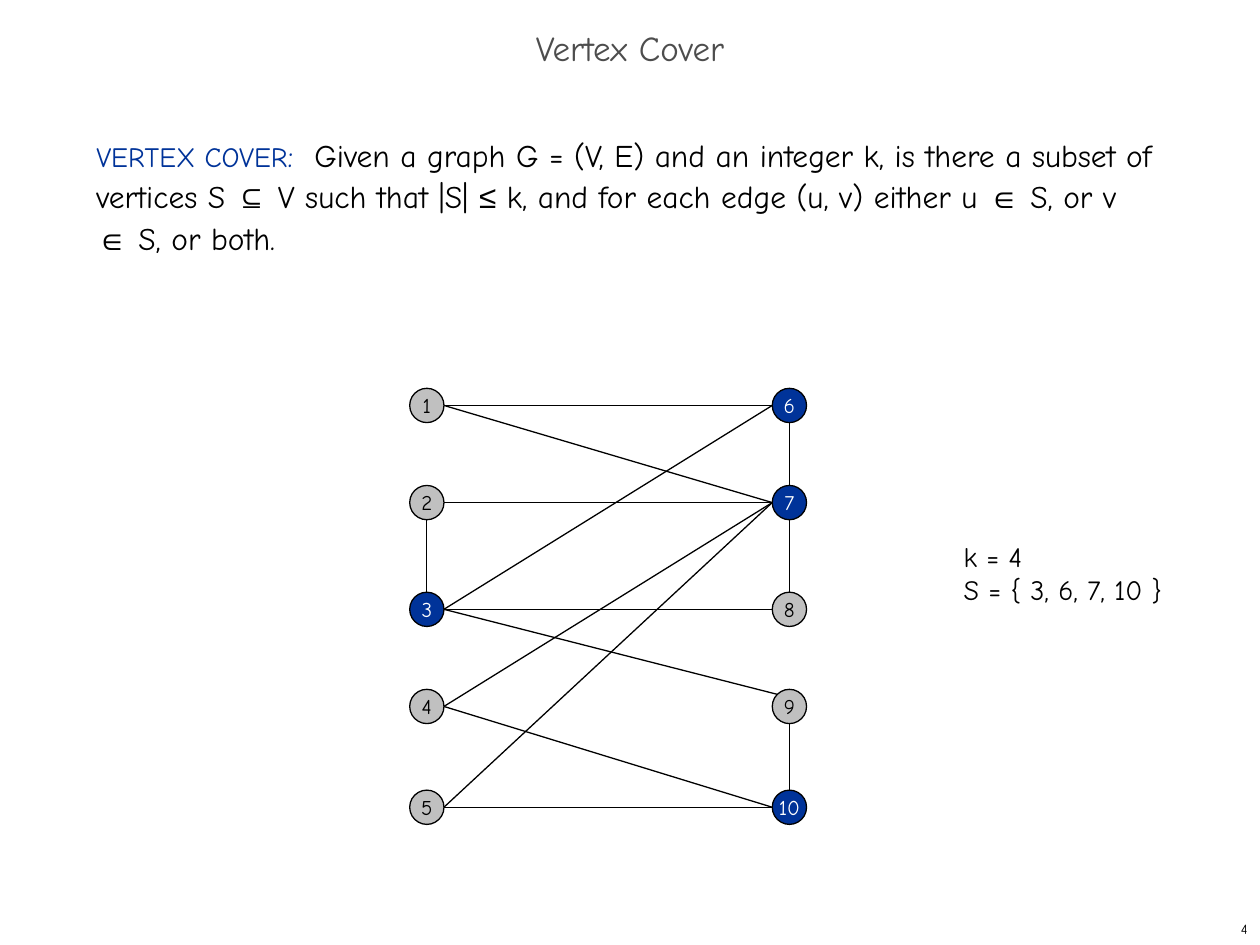
"""Build the Vertex Cover slide with its example graph."""
from math import sqrt

from lxml import etree
from pptx import Presentation
from pptx.dml.color import RGBColor
from pptx.enum.shapes import MSO_CONNECTOR, MSO_SHAPE
from pptx.enum.text import MSO_ANCHOR, MSO_AUTO_SIZE, PP_ALIGN
from pptx.oxml.ns import qn
from pptx.util import Pt

STRAIGHT, OVAL = MSO_CONNECTOR.STRAIGHT, MSO_SHAPE.OVAL
TOP, MIDDLE = MSO_ANCHOR.TOP, MSO_ANCHOR.MIDDLE
LEFT, CENTER, RIGHT = PP_ALIGN.LEFT, PP_ALIGN.CENTER, PP_ALIGN.RIGHT
FIXED = MSO_AUTO_SIZE.NONE

BLACK = RGBColor(0x00, 0x00, 0x00)
WHITE = RGBColor(0xFF, 0xFF, 0xFF)
NAVY = RGBColor(0x00, 0x33, 0x99)
SILVER = RGBColor(0xC0, 0xC0, 0xC0)
CHARCOAL = RGBColor(0x4D, 0x4D, 0x4D)

COLUMNS = (243.9, 451.1)
ROWS = (231.7, 287.2, 348.2, 403.7, 461.3)
RADIUS = 9.8
COVER = {3, 6, 7, 10}
EDGES = [(3, 8), (1, 6), (5, 10), (1, 7), (2, 7), (4, 7), (4, 10),
         (5, 7), (3, 6), (9, 10), (7, 8), (6, 7), (2, 3)]
PROBLEM = [
    ("VERTEX COVER", {"size": 16, "color": NAVY}),
    (":  ", {"color": NAVY}),
    ("Given a graph G = (V, E) and an integer k, is there a subset of vertices S ", {}),
    ("⊆", {"font": "Arial"}),
    (" V such that |S| ", {}),
    ("≤", {"font": "Arial"}),
    (" k, and for each edge (u, v) either u ", {}),
    ("∈", {"font": "Arial"}),
    (" S, or v ", {}),
    ("∈", {"font": "Arial"}),
    (" S, or both.", {}),
]


def write(para, text, size=18, color=BLACK, font="Comic Neue"):
    """Add one formatted span to a paragraph."""
    span = para.add_run()
    span.text = text
    span.font.size = Pt(size)
    span.font.name = font
    span.font.color.rgb = color


def center(number):
    """Return the centre of a numbered node."""
    column, row = divmod(number - 1, len(ROWS))
    return COLUMNS[column], ROWS[row]


class GraphSlide:
    """Hold the slide and the line style of the graph."""

    def __init__(self, page, line_width=0.75):
        """Keep the page and the stroke width."""
        self.page = page
        self.line_width = Pt(line_width)

    def title(self, text, left, top, width, height):
        """Place and format the title placeholder."""
        box = self.page.shapes.title
        box.left, box.top, box.width, box.height = map(Pt, (left, top, width, height))
        box.text_frame.auto_size = FIXED
        box.text_frame.vertical_anchor = MIDDLE
        para = box.text_frame.paragraphs[0]
        para.alignment = CENTER
        para.line_spacing = 0.7
        write(para, text, size=20, color=CHARCOAL)

    def text(self, lines, left, top, width, height, wrap=True, align=LEFT,
             anchor=TOP, spacing=1.0):
        """Add a text box whose lines are lists of spans."""
        box = self.page.shapes.add_textbox(Pt(left), Pt(top), Pt(width), Pt(height))
        frame = box.text_frame
        frame.word_wrap = wrap
        frame.vertical_anchor = anchor
        para = frame.paragraphs[0]
        para.alignment = align
        para.line_spacing = spacing
        for index, spans in enumerate(lines):
            if index:
                para.add_line_break()
            for text, style in spans:
                write(para, text, **style)

    def node(self, number):
        """Draw a numbered node, highlighted when it is in the cover."""
        x, y = center(number)
        chosen = number in COVER
        circle = self.page.shapes.add_shape(
            OVAL, Pt(x - RADIUS), Pt(y - RADIUS), Pt(2 * RADIUS), Pt(2 * RADIUS))
        circle.shadow.inherit = False
        circle.fill.solid()
        circle.fill.fore_color.rgb = NAVY if chosen else SILVER
        circle.line.color.rgb = BLACK
        circle.line.width = self.line_width
        frame = circle.text_frame
        frame.word_wrap = False
        frame.vertical_anchor = MIDDLE
        para = frame.paragraphs[0]
        para.alignment = CENTER
        write(para, str(number), size=12, color=WHITE if chosen else BLACK)

    def line(self, x1, y1, x2, y2):
        """Draw a thin black line."""
        line = self.page.shapes.add_connector(STRAIGHT, Pt(x1), Pt(y1), Pt(x2), Pt(y2))
        line.line.color.rgb = BLACK
        line.line.width = self.line_width
        etree.SubElement(line._element.spPr, qn("a:effectLst"))

    def edge(self, first, second):
        """Join two nodes on their facing sides."""
        (x1, y1), (x2, y2) = center(first), center(second)
        if x1 == x2:
            self.line(x1, y1 + RADIUS, x2, y2 - RADIUS)
        else:
            self.line(x1 + RADIUS, y1, x2 - RADIUS, y2)


def main():
    """Build and save the deck."""
    deck = Presentation()
    deck.slide_width, deck.slide_height = Pt(720), Pt(540)
    slide = GraphSlide(deck.slides.add_slide(deck.slide_layouts[5]))
    slide.title("Vertex Cover", 0, 12, 720, 36)
    slide.text([PROBLEM], 48, 72, 618, 426, spacing=1.1)
    for number in range(1, 2 * len(ROWS) + 1):
        slide.node(number)
    for first, second in EDGES:
        slide.edge(first, second)
    (x3, y3), (x9, y9) = center(3), center(9)
    corner = RADIUS / sqrt(2)
    slide.line(x3 + RADIUS, y3, x9 - corner, y9 - corner)
    answer = ["k = 4", "S = { 3, 6, 7, 10 }"]
    slide.text([[(text, {"size": 16})] for text in answer],
               543.6, 304.6, 128, 45, wrap=False)
    slide.text([[("4", {"size": 8})]], 570, 522, 150, 18, align=RIGHT, anchor=MIDDLE)
    deck.save("out.pptx")


if __name__ == "__main__":
    main()
